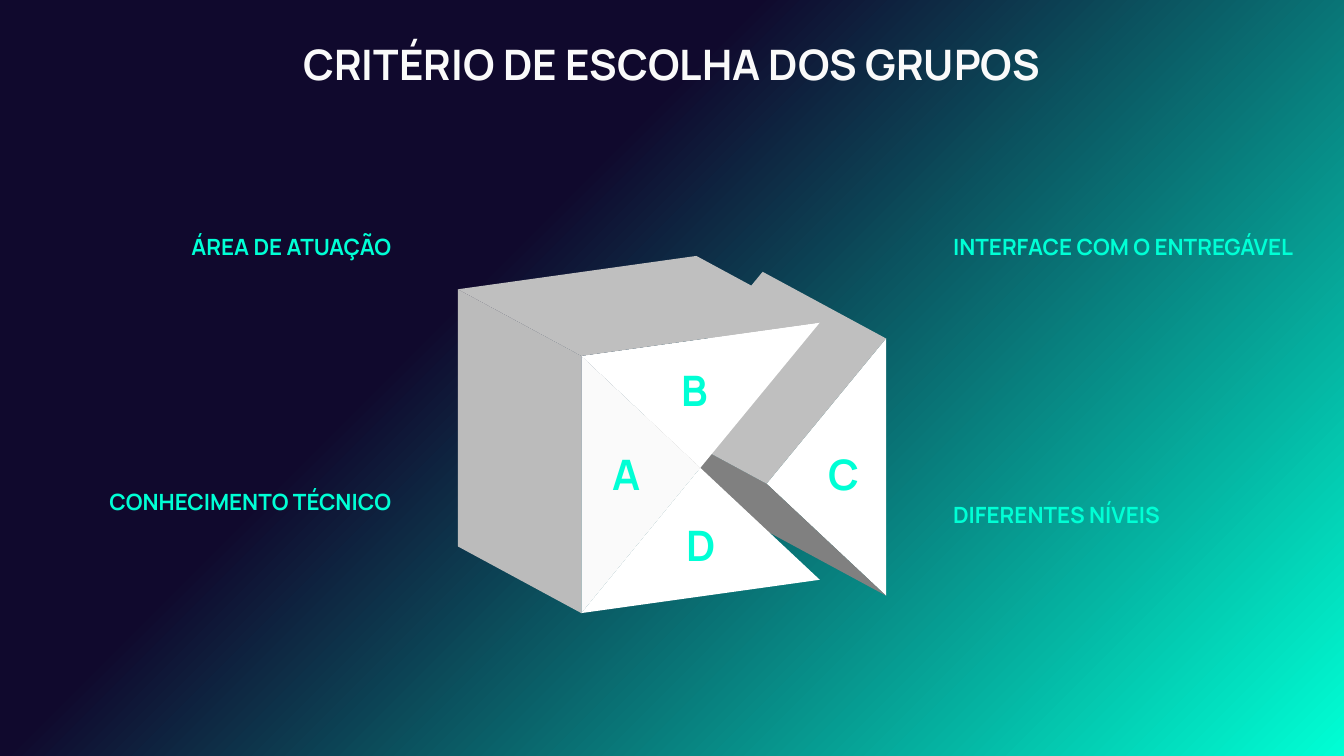
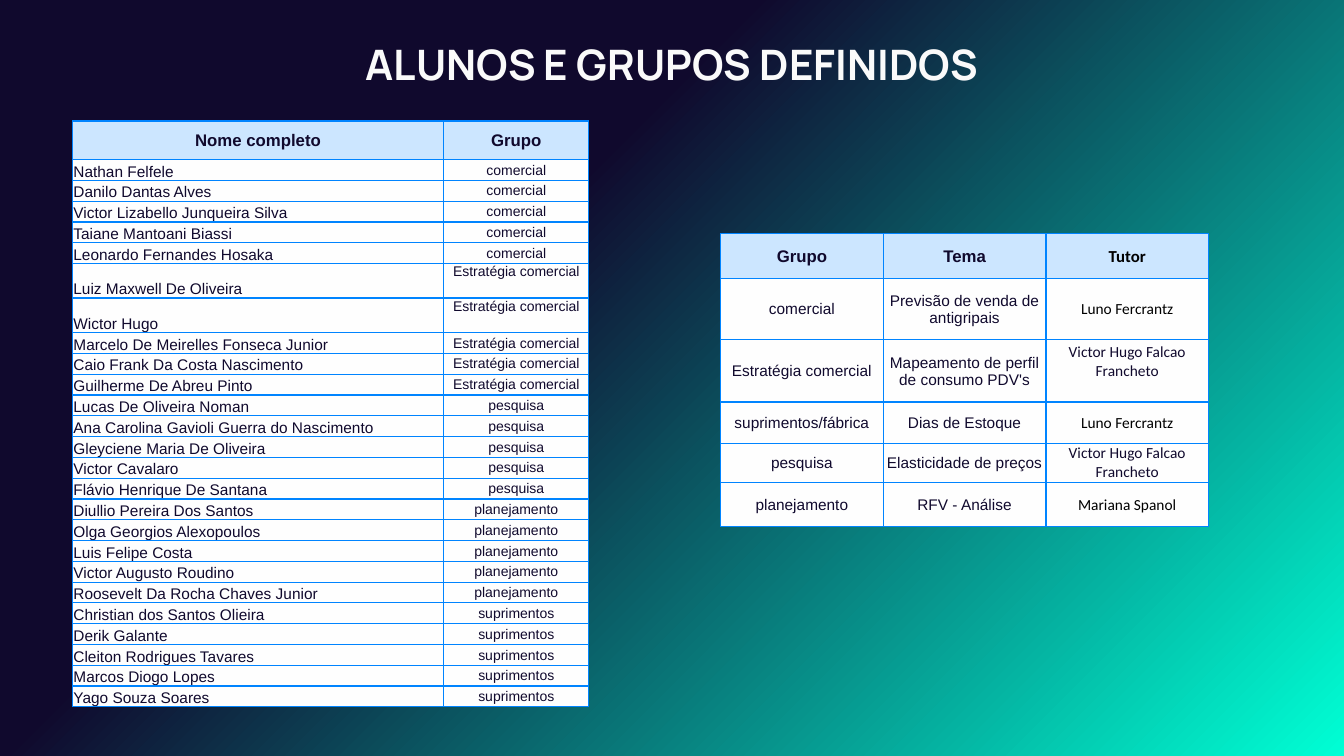
from copy import deepcopy

from lxml import etree
from pptx import Presentation
from pptx.dml.color import RGBColor
from pptx.enum.text import MSO_ANCHOR, MSO_AUTO_SIZE, PP_ALIGN
from pptx.oxml.ns import qn
from pptx.util import Cm, Pt

LEFT, CENTER, RIGHT = PP_ALIGN.LEFT, PP_ALIGN.CENTER, PP_ALIGN.RIGHT
TOP, MIDDLE, BOTTOM = MSO_ANCHOR.TOP, MSO_ANCHOR.MIDDLE, MSO_ANCHOR.BOTTOM

NAVY = RGBColor(0x10, 0x09, 0x2D)
AQUA = RGBColor(0x00, 0xFF, 0xD5)
OFF_WHITE = RGBColor(0xFA, 0xFA, 0xFA)
WHITE = RGBColor(0xFF, 0xFF, 0xFF)
BLACK = RGBColor(0x00, 0x00, 0x00)
TOP_GRAY = RGBColor(0xBF, 0xBF, 0xBF)
SIDE_GRAY = RGBColor(0xBB, 0xBB, 0xBB)
SHADE_GRAY = RGBColor(0x80, 0x80, 0x80)
HEADER_BLUE = RGBColor(0xCC, 0xE6, 0xFF)
CELL_WHITE = RGBColor(0xFE, 0xFE, 0xFE)
BORDER_BLUE = RGBColor(0x00, 0x84, 0xFF)

SLIDE_WIDTH, SLIDE_HEIGHT = 33.87, 19.05
DISPLAY_FONT, BODY_FONT, TUTOR_FONT = "Manrope", "Arial", "Calibri"

CRITERIA_TITLE = "CRITÉRIO DE ESCOLHA DOS GRUPOS"
GROUPS_TITLE = "ALUNOS E GRUPOS DEFINIDOS"

CRITERIA = [
    ("ÁREA DE ATUAÇÃO", 4.24, 5.74, 5.87, RIGHT),
    ("CONHECIMENTO TÉCNICO", 2.21, 12.17, 7.9, RIGHT),
    ("INTERFACE COM O ENTREGÁVEL", 23.77, 5.74, 9.42, LEFT),
    ("DIFERENTES NÍVEIS", 23.77, 12.5, 5.77, LEFT),
]
LETTER_CENTERS = {
    "A": (15.79, 11.95),
    "B": (17.5, 9.82),
    "C": (21.26, 11.95),
    "D": (17.67, 13.73),
}

TOP_LEFT, TOP_RIGHT = (14.65, 8.97), (20.66, 8.13)
BOTTOM_LEFT, BOTTOM_RIGHT = (14.65, 15.45), (20.66, 14.61)
FACE_CENTER = (17.65, 11.79)
DEPTH = (-3.11, -1.68)
WEDGE_SHIFT = (1.67, 0.4)

STUDENTS_BY_GROUP = {
    "comercial": [
        "Nathan Felfele", "Danilo Dantas Alves",
        "Victor Lizabello Junqueira Silva", "Taiane Mantoani Biassi",
        "Leonardo Fernandes Hosaka",
    ],
    "Estratégia comercial": [
        "Luiz Maxwell De Oliveira", "Wictor Hugo",
        "Marcelo De Meirelles Fonseca Junior",
        "Caio Frank Da Costa Nascimento", "Guilherme De Abreu Pinto",
    ],
    "pesquisa": [
        "Lucas De Oliveira Noman",
        "Ana Carolina Gavioli Guerra do Nascimento",
        "Gleyciene Maria De Oliveira", "Victor Cavalaro",
        "Flávio Henrique De Santana",
    ],
    "planejamento": [
        "Diullio Pereira Dos Santos", "Olga Georgios Alexopoulos",
        "Luis Felipe Costa", "Victor Augusto Roudino",
        "Roosevelt Da Rocha Chaves Junior",
    ],
    "suprimentos": [
        "Christian dos Santos Olieira", "Derik Galante",
        "Cleiton Rodrigues Tavares", "Marcos Diogo Lopes",
        "Yago Souza Soares",
    ],
}
STUDENT_HEADER = ("Nome completo", "Grupo")
TALL_ROW_STUDENTS = {"Luiz Maxwell De Oliveira", "Wictor Hugo"}
STUDENT_TABLE_HEIGHT, STUDENT_HEADER_HEIGHT, TALL_ROW_HEIGHT = 14.78, 0.97, 0.87

THEMES = [
    ("Grupo", "Tema", "Tutor"),
    ("comercial", "Previsão de venda de antigripais", "Luno Fercrantz"),
    ("Estratégia comercial", "Mapeamento de perfil de consumo PDV's",
     "Victor Hugo Falcao Francheto"),
    ("suprimentos/fábrica", "Dias de Estoque", "Luno Fercrantz"),
    ("pesquisa", "Elasticidade de preços", "Victor Hugo Falcao Francheto"),
    ("planejamento", "RFV - Análise", "Mariana Spanol"),
]
THEME_ROW_HEIGHTS = [1.12, 1.55, 1.57, 1.04, 0.93, 1.12]
NAVY_TUTOR = "Victor Hugo Falcao Francheto"


def set_background(master):
    fill = master.background.fill
    fill.gradient()
    fill.gradient_angle = 315
    first, last = fill.gradient_stops
    first.color.rgb, first.position = NAVY, 0
    last.color.rgb, last.position = AQUA, 1
    first_element = master.element.xpath("./p:cSld/p:bg//a:gs")[0]
    first_element.addnext(deepcopy(first_element))
    fill.gradient_stops[1].position = 0.36


def write(paragraph, text, size, color, font=DISPLAY_FONT, bold=True, align=CENTER):
    paragraph.alignment = align
    run = paragraph.add_run()
    run.text = text
    run.font.name = font
    run.font.size = Pt(size)
    run.font.bold = bold
    run.font.color.rgb = color


def add_titled_slide(presentation, title):
    slide = presentation.slides.add_slide(presentation.slide_layouts[5])
    shape = slide.shapes.title
    shape.left, shape.top = Cm(0), Cm(0.84)
    shape.width, shape.height = Cm(SLIDE_WIDTH), Cm(1.55)
    frame = shape.text_frame
    frame.auto_size = MSO_AUTO_SIZE.NONE
    frame.vertical_anchor = TOP
    write(frame.paragraphs[0], title, 30, OFF_WHITE)
    return slide


def add_label(slide, text, left, top, width, height, size, align):
    box = slide.shapes.add_textbox(Cm(left), Cm(top), Cm(width), Cm(height))
    frame = box.text_frame
    frame.word_wrap = True
    frame.vertical_anchor = MIDDLE
    write(frame.paragraphs[0], text, size, AQUA, align=align)


def shift(point, offset):
    return point[0] + offset[0], point[1] + offset[1]


def back(point):
    return shift(point, DEPTH)


def add_face(slide, color, *points):
    corners = [(Cm(x), Cm(y)) for x, y in points]
    builder = slide.shapes.build_freeform(*corners[0])
    builder.add_line_segments(corners[1:], close=True)
    shape = builder.convert_to_shape()
    shape.shadow.inherit = False
    shape.fill.solid()
    shape.fill.fore_color.rgb = color
    shape.line.fill.background()


def add_side(slide, color, start, end):
    add_face(slide, color, start, back(start), back(end), end)


def add_cube(slide):
    wedge_top, wedge_bottom, wedge_tip = (
        shift(point, WEDGE_SHIFT) for point in (TOP_RIGHT, BOTTOM_RIGHT, FACE_CENTER))
    add_face(slide, WHITE, wedge_top, wedge_bottom, wedge_tip)
    add_side(slide, SHADE_GRAY, wedge_bottom, wedge_tip)
    add_side(slide, TOP_GRAY, wedge_tip, wedge_top)
    add_face(slide, WHITE, FACE_CENTER, BOTTOM_RIGHT, BOTTOM_LEFT)
    add_face(slide, WHITE, TOP_RIGHT, FACE_CENTER, TOP_LEFT)
    add_side(slide, TOP_GRAY, TOP_LEFT, TOP_RIGHT)
    add_face(slide, OFF_WHITE, TOP_LEFT, FACE_CENTER, BOTTOM_LEFT)
    add_side(slide, SIDE_GRAY, BOTTOM_LEFT, TOP_LEFT)


def add_borders(cell):
    properties = cell._tc.get_or_add_tcPr()
    for side in ("lnL", "lnR", "lnT", "lnB"):
        line = etree.SubElement(properties, qn(f"a:{side}"), w=str(Pt(1)))
        fill = etree.SubElement(line, qn("a:solidFill"))
        etree.SubElement(fill, qn("a:srgbClr"), val=str(BORDER_BLUE))


def add_grid(slide, left, top, column_widths, row_heights):
    table = slide.shapes.add_table(
        len(row_heights), len(column_widths), Cm(left), Cm(top),
        Cm(sum(column_widths)), Cm(sum(row_heights))).table
    table.first_row = table.horz_banding = False
    for column, width in zip(table.columns, column_widths):
        column.width = Cm(width)
    for row, height in zip(table.rows, row_heights):
        row.height = Cm(height)
    return table


def fill_cell(cell, text, size, header=False, font=BODY_FONT, color=NAVY,
              align=CENTER, anchor=MIDDLE, margin_top=0.02):
    add_borders(cell)
    cell.fill.solid()
    cell.fill.fore_color.rgb = HEADER_BLUE if header else CELL_WHITE
    cell.margin_left = cell.margin_right = Cm(0.02)
    cell.margin_top, cell.margin_bottom = Cm(margin_top), Cm(0)
    cell.vertical_anchor = anchor
    write(cell.text_frame.paragraphs[0], text, size, color, font, header, align)


def add_student_table(slide):
    students = [(name, group) for group, names in STUDENTS_BY_GROUP.items()
                for name in names]
    tall_count = len(TALL_ROW_STUDENTS)
    row_height = ((STUDENT_TABLE_HEIGHT - STUDENT_HEADER_HEIGHT
                   - tall_count * TALL_ROW_HEIGHT) / (len(students) - tall_count))
    heights = [STUDENT_HEADER_HEIGHT] + [
        TALL_ROW_HEIGHT if name in TALL_ROW_STUDENTS else row_height
        for name, group in students]
    table = add_grid(slide, 1.83, 3.05, [9.35, 3.66], heights)
    for column, text in enumerate(STUDENT_HEADER):
        fill_cell(table.cell(0, column), text, 12, header=True)
    for row, (name, group) in enumerate(students, 1):
        fill_cell(table.cell(row, 0), name, 11, align=LEFT, anchor=BOTTOM)
        fill_cell(table.cell(row, 1), group, 10,
                  anchor=TOP if name in TALL_ROW_STUDENTS else MIDDLE)


def add_theme_table(slide):
    table = add_grid(slide, 18.16, 5.89, [4.1] * 3, THEME_ROW_HEIGHTS)
    for row, texts in enumerate(THEMES):
        for column, text in enumerate(texts):
            tutor = column == 2
            raised = tutor and row == 2
            fill_cell(
                table.cell(row, column), text, 11 if row else 12, header=row == 0,
                font=TUTOR_FONT if tutor else BODY_FONT,
                color=BLACK if tutor and text != NAVY_TUTOR else NAVY,
                anchor=TOP if raised else MIDDLE,
                margin_top=0.08 if raised else 0.02)


def main():
    presentation = Presentation()
    presentation.slide_width = Cm(SLIDE_WIDTH)
    presentation.slide_height = Cm(SLIDE_HEIGHT)
    set_background(presentation.slide_master)

    criteria_slide = add_titled_slide(presentation, CRITERIA_TITLE)
    add_cube(criteria_slide)
    for text, left, top, width, align in CRITERIA:
        add_label(criteria_slide, text, left, top, width, 0.94, 16, align)
    for letter, (x, y) in LETTER_CENTERS.items():
        add_label(criteria_slide, letter, x - 0.65, y - 0.78, 1.3, 1.55, 30, CENTER)

    groups_slide = add_titled_slide(presentation, GROUPS_TITLE)
    add_student_table(groups_slide)
    add_theme_table(groups_slide)
    presentation.save("out.pptx")


if __name__ == "__main__":
    main()
